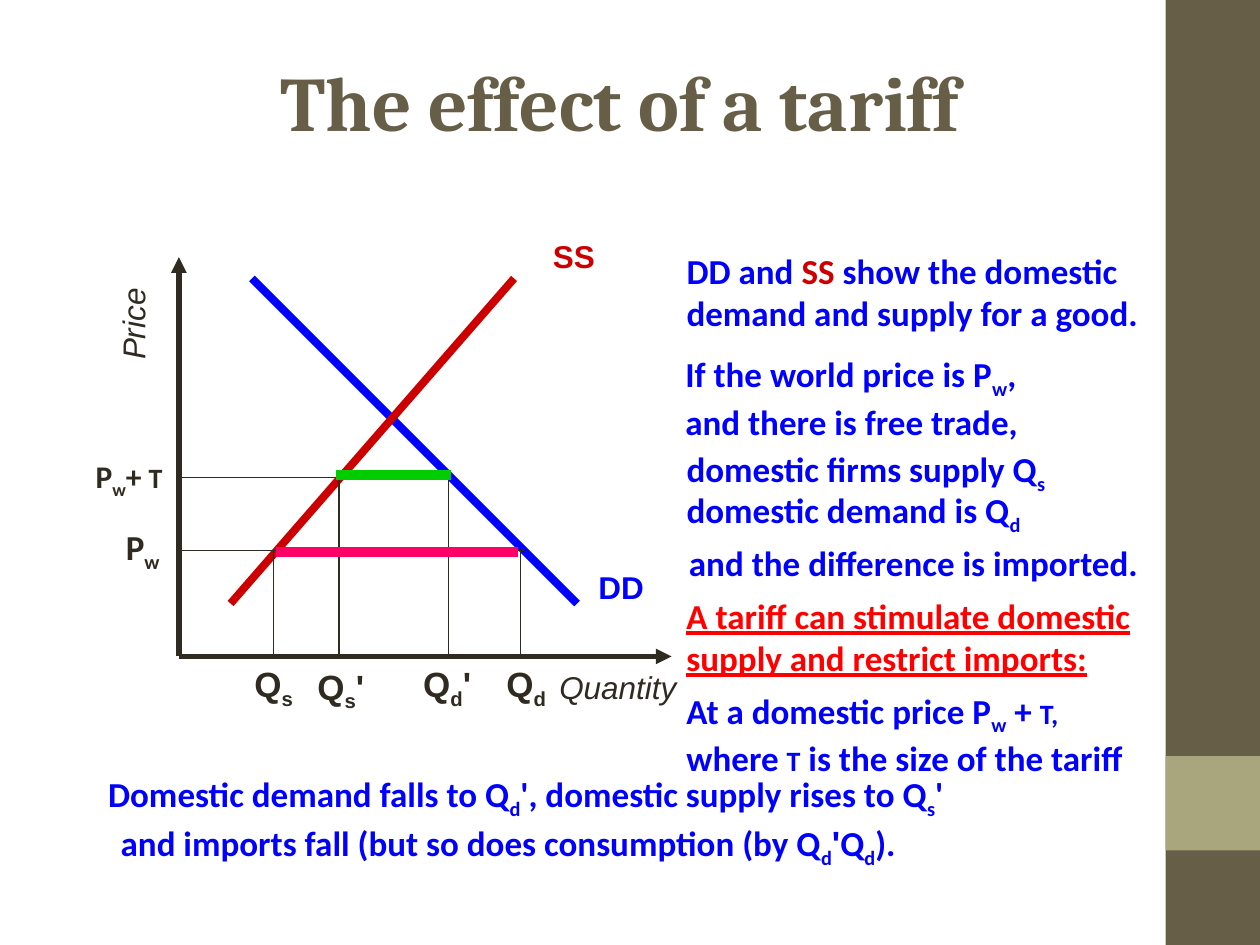
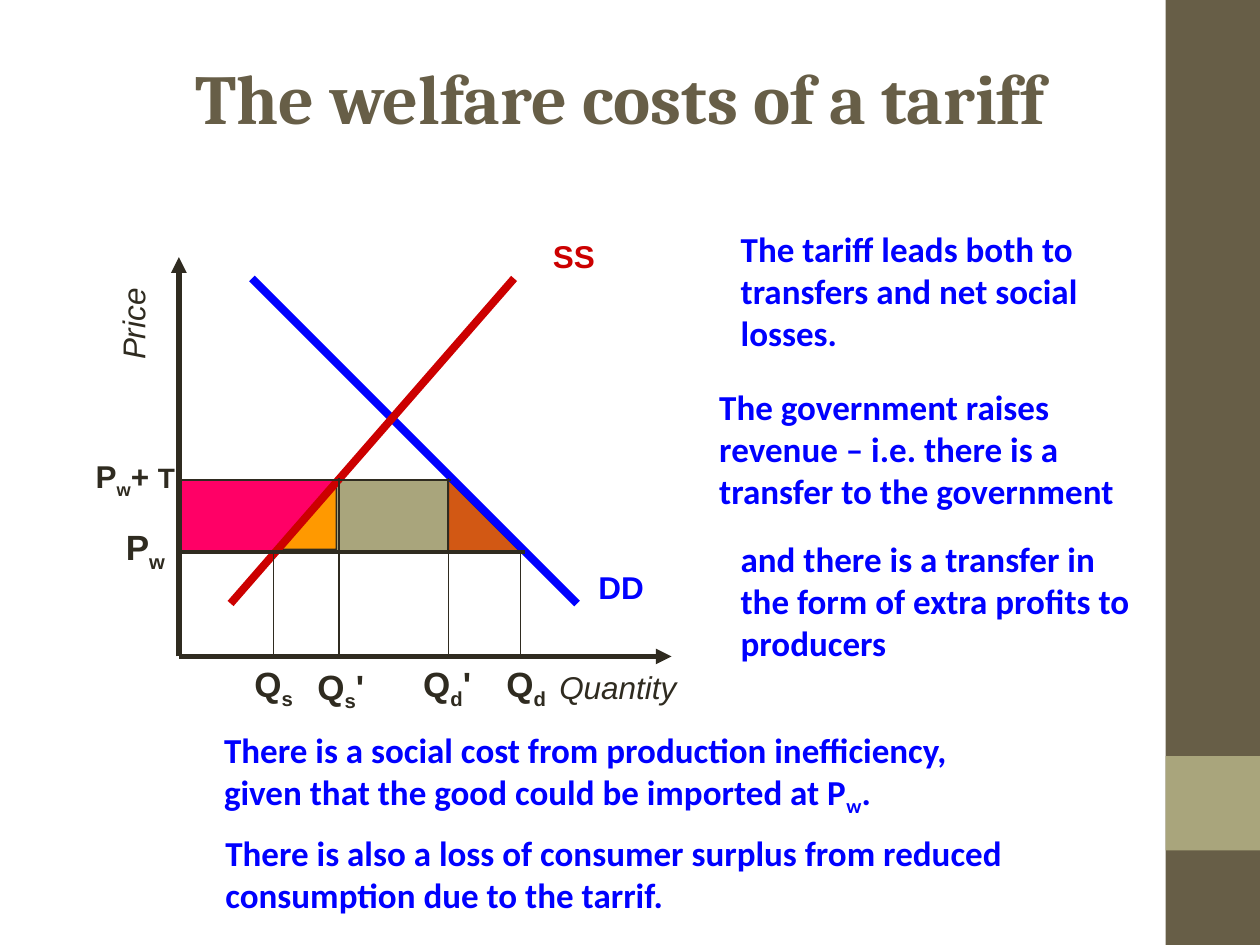
from dataclasses import dataclass

import lxml.etree
import pptx
import pptx.dml.color
import pptx.enum.shapes
import pptx.enum.text
import pptx.oxml.ns
import pptx.util

Inches = pptx.util.Inches
Shape = pptx.enum.shapes.MSO_SHAPE
qn = pptx.oxml.ns.qn


@dataclass(frozen=True)
class Theme:
    brown: str = "675E47"
    khaki: str = "A9A57C"
    ink: str = "2F2B20"
    blue: str = "0000FF"
    red: str = "CC0000"
    alert: str = "FF0000"
    pink: str = "FF0066"
    green: str = "00CC00"
    gold: str = "FF9900"
    rust: str = "D25814"
    head: str = "Cambria"
    body: str = "Calibri"
    label: str = "Arial"
    large: int = 20
    mid: int = 18
    small: int = 16
    thin: float = 0.75
    axis: float = 3
    curve: float = 4.5
    bar: float = 6


THEME = Theme()
NOTE = {"name": THEME.body, "size": THEME.large, "color": THEME.blue, "bold": True}
ALERT = NOTE | {"color": THEME.alert, "underline": True}
MARK = NOTE | {"name": THEME.label, "color": THEME.ink}
AXIS = {"name": THEME.label, "size": THEME.mid, "color": THEME.ink, "italic": True}

# A run that starts with one of these signs changes its paragraph's format.
SIGNS = {
    "_": {"sub": True},
    "^": {"size": THEME.small},
    "*": {"color": THEME.red},
    "~": {"name": THEME.label},
}

# Spots on the graph, measured from its box
LEFT, BASE = 0.76, 3.38
WORLD, TAXED = 2.54, 1.96
QS, QS2, QD2, QD = 1.51, 2.03, 2.9, 3.47
GRAPH, SIDE, FOOT = (0.66, 1.83), (5.35, 1.76), (0.76, 5.73)


def rgb(code):
    return pptx.dml.color.RGBColor.from_string(code)


def style(run, form):
    for key, value in form.items():
        if key == "color":
            run.font.color.rgb = rgb(value)
        elif key == "sub":
            run.font._element.set("baseline", "-25000")
        elif key == "size":
            run.font.size = pptx.util.Pt(value)
        else:
            setattr(run.font, key, value)


def write(frame, lines, form):
    """Fill a frame; a bar splits a line into runs."""
    for i, line in enumerate(lines):
        para = frame.paragraphs[0] if i == 0 else frame.add_paragraph()
        for part in line.split("|"):
            extra = SIGNS.get(part[0])
            run = para.add_run()
            run.text = part[1:] if extra else part
            style(run, form | (extra or {}))


def paint(shape, fill, edge=None):
    shape.shadow.inherit = False
    shape.fill.solid()
    shape.fill.fore_color.rgb = rgb(fill)
    if edge:
        shape.line.color.rgb = rgb(edge)
        shape.line.width = pptx.util.Pt(THEME.thin)
    else:
        shape.line.fill.background()


class Region:
    """Draws on a slide with lengths measured from a box corner."""

    def __init__(self, slide, corner):
        self.shapes = slide.shapes
        self.left, self.top = corner

    def spot(self, x, y):
        return Inches(self.left + x), Inches(self.top + y)

    def text(self, at, lines, form, wrap=False, turn=0):
        x, y, wide, high = at
        box = self.shapes.add_textbox(*self.spot(x, y), Inches(wide), Inches(high))
        box.rotation = turn
        frame = box.text_frame
        frame.word_wrap = wrap
        frame.auto_size = pptx.enum.text.MSO_AUTO_SIZE.SHAPE_TO_FIT_TEXT
        write(frame, lines, form)

    def line(self, start, end, color=THEME.ink, width=THEME.thin, arrow=False):
        link = self.shapes.add_connector(
            pptx.enum.shapes.MSO_CONNECTOR.STRAIGHT, *self.spot(*start), *self.spot(*end))
        link.line.color.rgb = rgb(color)
        link.line.width = pptx.util.Pt(width)
        if arrow:
            stroke = link.line._get_or_add_ln()
            lxml.etree.SubElement(stroke, qn("a:tailEnd"), type="triangle")
        lxml.etree.SubElement(link._element.spPr, qn("a:effectLst"))

    def block(self, kind, at, fill, edge=None, flip=False):
        x, y, wide, high = at
        shape = self.shapes.add_shape(kind, *self.spot(x, y), Inches(wide), Inches(high))
        paint(shape, fill, edge)
        if flip:
            shape._element.spPr.find(qn("a:xfrm")).set("flipH", "1")
        return shape

    def outline(self, points, fill, edge):
        first, *rest = [self.spot(*point) for point in points]
        pen = self.shapes.build_freeform(*first)
        pen.add_line_segments(rest, close=True)
        paint(pen.convert_to_shape(), fill, edge)


def bands(slide):
    """Place the side bands on the layout that the slides share."""
    side = Region(slide, (9.25, 0))
    for i, (y, high, fill) in enumerate([(0, 7.5, THEME.brown), (6, 0.75, THEME.khaki)]):
        band = side.block(Shape.RECTANGLE, (0, y, 0.75, high), fill)
        band.element.nvSpPr.cNvPr.set("id", str(20 + i))
        slide.slide_layout.shapes.element.append(band.element)


def title(slide, words, size):
    head = slide.shapes.title
    place = {"left": 0.67, "top": 0.38, "width": 8.5, "height": 1.21}
    for key, value in place.items():
        setattr(head, key, Inches(value))
    frame = head.text_frame
    form = {"word_wrap": True, "auto_size": pptx.enum.text.MSO_AUTO_SIZE.NONE,
            "vertical_anchor": pptx.enum.text.MSO_ANCHOR.TOP}
    for key, value in form.items():
        setattr(frame, key, value)
    write(frame, [words], {"name": THEME.head, "size": size,
                           "color": THEME.brown, "bold": True})
    frame.paragraphs[0].alignment = pptx.enum.text.PP_ALIGN.CENTER


def graph(slide, corner, font, taxed, wide):
    """Draw axes, curves, guides and labels; font and wide suit the price marks."""
    area = Region(slide, corner)
    for end in [(4.67, BASE), (LEFT, 0.21)]:
        area.line((LEFT, BASE), end, width=THEME.axis, arrow=True)
    area.line((1.34, 0.38), (3.92, 2.96), THEME.blue, THEME.curve)
    area.line((1.17, 2.96), (3.42, 0.38), THEME.red, THEME.curve)

    bold = AXIS | {"italic": False, "bold": True}
    area.text((3.99, 2.63, 0.58, 0.4), ["DD"], bold | {"color": THEME.blue})
    area.text((3.63, 0, 0.56, 0.4), ["SS"], bold | {"color": THEME.red})
    area.text((3.68, 3.42, 1.15, 0.4), ["Quantity"], AXIS)
    area.text((0.01, 0.54, 0.77, 0.4), ["Price"], AXIS, turn=270)

    area.line((LEFT, taxed), (2.92, taxed))
    for x, y in [(QS, WORLD), (QS2, TAXED), (QD2, TAXED), (QD, WORLD)]:
        area.line((x, y), (x, BASE))
    price = MARK | {"name": font}
    area.text((0.24, 2.29, wide[0], 0.48), ["P|_w"], price)
    area.text((0, 1.75, wide[1], 0.44), ["P|_w|+ |^T"], price | {"size": THEME.mid})
    for x, y, span, words in [(1.26, BASE, 0.54, "Q|_s"), (1.76, 3.4, 0.6, "Q|_s|'"),
                              (2.6, BASE, 0.6, "Q|_d|'"), (3.26, BASE, 0.55, "Q|_d")]:
        area.text((x, y, span, 0.48), [words], MARK)
    return area


def notes(slide, corner, items):
    area = Region(slide, corner)
    for at, lines, form in items:
        area.text(at, lines, form)
    return area


def effect(slide):
    title(slide, "The effect of a tariff", 44)
    area = graph(slide, GRAPH, THEME.body, TAXED, (0.49, 0.75))
    area.line((LEFT, WORLD), (3.51, WORLD))
    area.line((1.53, 2.55), (3.45, 2.55), THEME.pink, THEME.bar)
    area.line((2.01, 1.94), (2.92, 1.94), THEME.green, THEME.bar)
    notes(slide, SIDE, [
        ((0, 0.17, 3.79, 0.77),
         ["DD and |*SS| show the domestic", "demand and supply for a good."], NOTE),
        ((-0.01, 0.99, 2.85, 0.82),
         ["If the world price is P|_w|,", "and there is free trade,"], NOTE),
        ((0, 1.74, 3.05, 0.48), ["domestic firms supply Q|_s"], NOTE),
        ((0, 2.07, 2.85, 0.48), ["domestic demand is Q|_d"], NOTE),
        ((0.02, 2.49, 3.77, 0.44), ["and the difference is imported."], NOTE),
        ((0, 2.91, 3.74, 0.77),
         ["A tariff can stimulate domestic", "supply and restrict imports:"], ALERT),
        ((0, 3.66, 3.67, 0.82),
         ["At a domestic price P|_w| + |^T,", "where |^T| is the size of the tariff"], NOTE),
    ])
    notes(slide, FOOT, [
        ((0, 0.35, 6.84, 0.48),
         ["Domestic demand falls to Q|_d|', domestic supply rises to Q|_s|'"], NOTE),
        ((0.1, 0.74, 6.36, 0.48),
         ["and imports fall (but so does consumption (by Q|_d|~'|Q|_d|)."], NOTE),
    ])


def areas(slide, corner):
    """Shade the transfers and the losses."""
    area = Region(slide, corner)
    top, low = 1.98, 2.56
    area.block(Shape.RECTANGLE, (2.01, top, 0.88, 0.56), THEME.khaki, THEME.ink)
    area.block(Shape.RIGHT_TRIANGLE, (QS, 2.03, 0.5, 0.5), THEME.gold, THEME.ink, flip=True)
    area.block(Shape.RIGHT_TRIANGLE, (QD2, top, 0.58, 0.58), THEME.rust, THEME.ink)
    area.outline([(LEFT, top), (2.01, top), (QS, low), (LEFT, low)], THEME.pink, THEME.ink)


def welfare(slide):
    title(slide, "The welfare costs of a tariff", 40)
    areas(slide, GRAPH)
    area = graph(slide, GRAPH, THEME.label, 1.98, (0.53, 0.85))
    area.line((LEFT, 2.55), (3.51, 2.55), width=2.25)
    notes(slide, SIDE, [
        ((0.43, 0, 2.91, 1.1),
         ["The tariff leads both to", "transfers and net social", "losses."], NOTE),
        ((0.26, 1.25, 3.35, 1.1),
         ["The government raises", "revenue – i.e. there is a",
          "transfer to the government"], NOTE),
        ((0.43, 2.46, 3.37, 1.1),
         ["and there is a transfer in", "the form of extra profits to", "producers"], NOTE),
    ])
    foot = notes(slide, FOOT, [
        ((0.92, 0, 5.97, 0.82),
         ["There is a social cost from production inefficiency,",
          "given that the good could be imported at P|_w|."], NOTE),
    ])
    foot.text((0.93, 0.82, 6.77, 0.77),
              ["There is also a loss of consumer surplus from reduced "
               "consumption due to the tarrif."], NOTE, wrap=True)


def main():
    deck = pptx.Presentation()
    deck.slide_width, deck.slide_height = Inches(10), Inches(7.5)
    layout = deck.slide_layouts.get_by_name("Title Only")
    for i, build in enumerate([effect, welfare]):
        slide = deck.slides.add_slide(layout)
        if i == 0:
            bands(slide)
        build(slide)
    deck.save("out.pptx")


if __name__ == "__main__":
    main()
